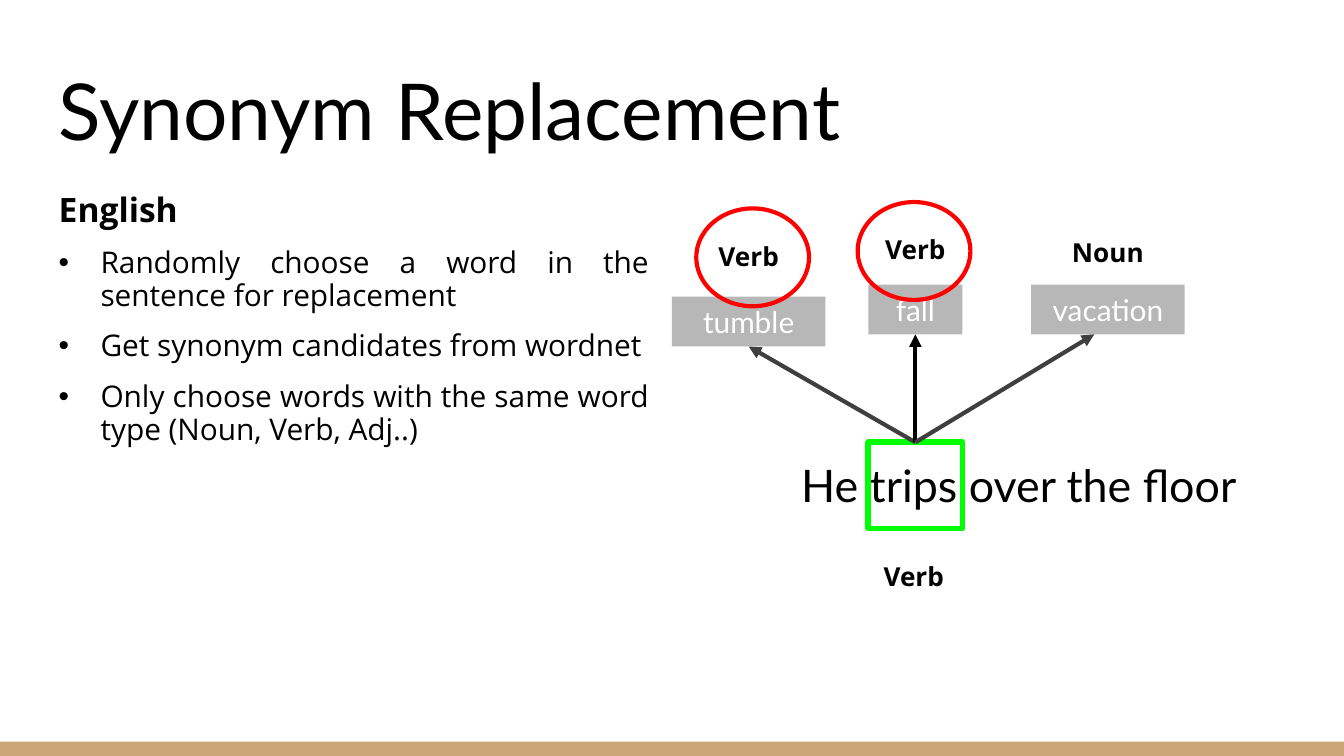
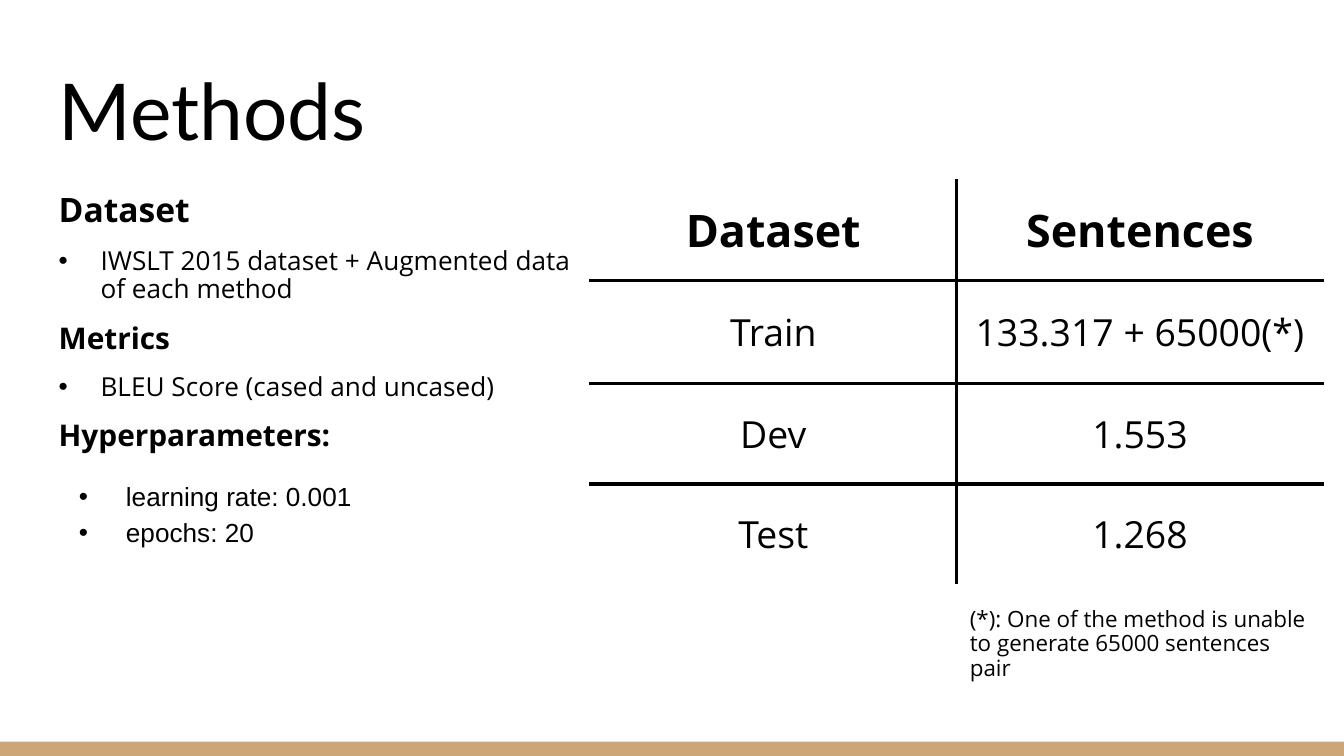
import pptx
import pptx.util
from pptx.dml.color import RGBColor
from pptx.enum.shapes import MSO_CONNECTOR, MSO_SHAPE
from pptx.enum.text import MSO_ANCHOR, MSO_AUTO_SIZE, PP_ALIGN
from pptx.oxml.ns import qn
from pptx.util import Cm, Pt
from lxml import etree

BLACK = RGBColor(0x00, 0x00, 0x00)
WHITE = RGBColor(0xFF, 0xFF, 0xFF)
TAN = RGBColor(0xCC, 0xA6, 0x77)
GREY = RGBColor(0xB7, 0xB7, 0xB7)
DARK = RGBColor(0x3F, 0x3F, 0x3F)
RED = RGBColor(0xFF, 0x00, 0x00)
GREEN = RGBColor(0x00, 0xFF, 0x00)
HEAD_FONT, BODY_FONT, PLAIN_FONT = "Lato", "Open Sans", "Arial"
SLIDE_W, SLIDE_H = 25.4, 14.29
MARGIN, BODY_TOP, BODY_H = 0.86, 3.4, 9.32
RULE_W = Pt(2.25)


def write(p, text, size=16, font=BODY_FONT, color=BLACK, bold=False,
          align=PP_ALIGN.LEFT, before=0, spacing=None):
    p.alignment = align
    p.space_before = Pt(before)
    if spacing:
        p.line_spacing = spacing
    r = p.add_run()
    r.text = text
    r.font.size, r.font.name, r.font.bold = Pt(size), font, bold
    r.font.color.rgb = color


def set_frame(tf, inset_y=0.25, anchor=MSO_ANCHOR.TOP):
    tf.word_wrap = True
    tf.auto_size = MSO_AUTO_SIZE.NONE
    tf.vertical_anchor = anchor
    tf.margin_left = tf.margin_right = Cm(0.25)
    tf.margin_top = tf.margin_bottom = Cm(inset_y)


def place(sp, left, top, width, height):
    sp.left, sp.top, sp.width, sp.height = Cm(left), Cm(top), Cm(width), Cm(height)


def set_bullet(p, margin, hanging):
    """Give the paragraph a bullet, or none when it has no margin."""
    pPr = p._p.get_or_add_pPr()
    pPr.set("marL", str(Cm(margin)))
    pPr.set("indent", str(Cm(-hanging)))
    if not margin:
        etree.SubElement(pPr, qn("a:buNone"))
        return
    clr = etree.SubElement(pPr, qn("a:buClr"))
    etree.SubElement(clr, qn("a:srgbClr"), val=str(BLACK))
    etree.SubElement(pPr, qn("a:buFont"), typeface=PLAIN_FONT)
    etree.SubElement(pPr, qn("a:buChar"), char="•")


def add_shape(s, kind, box, fill=None, line=None, line_w=RULE_W):
    sp = s.shapes.add_shape(kind, *map(Cm, box))
    sp.shadow.inherit = False
    if fill is None:
        sp.fill.background()
    else:
        sp.fill.solid()
        sp.fill.fore_color.rgb = fill
    if line is None:
        sp.line.fill.background()
    else:
        sp.line.color.rgb = line
        sp.line.width = line_w
    return sp


def add_text(s, text, box, inset_y=0.25, **fmt):
    tf = s.shapes.add_textbox(*map(Cm, box)).text_frame
    set_frame(tf, inset_y)
    write(tf.paragraphs[0], text, **fmt)


def add_arrow(s, source, target, color, end=None):
    """Join the top of source to the bottom of target, or to a free end point."""
    x, y = end or (0, 0)
    c = s.shapes.add_connector(MSO_CONNECTOR.STRAIGHT, 0, 0, Cm(x), Cm(y))
    c.begin_connect(source, 0)
    if end is None:
        c.end_connect(target, 2)
    c.line.color.rgb = color
    c.line.width = RULE_W
    etree.SubElement(c.line._get_or_add_ln(), qn("a:tailEnd"), type="triangle")
    etree.SubElement(c._element.spPr, qn("a:effectLst"))


def add_band(s, layout):
    """Put the bottom band on the layout, so that every slide shows it."""
    band = add_shape(s, MSO_SHAPE.RECTANGLE, (0, SLIDE_H - 0.27, SLIDE_W, 0.27), fill=TAN)
    layout.shapes.element.append(band.element)


def add_slide(prs, layout, title, items, body_w, align=PP_ALIGN.LEFT):
    """Add a slide with a title and a list of (text, bullet indents, format)."""
    s = prs.slides.add_slide(layout)
    head, body = s.shapes.title, s.placeholders[1]
    place(head, MARGIN, 0.89, SLIDE_W - 2 * MARGIN, 2.31)
    set_frame(head.text_frame, anchor=MSO_ANCHOR.BOTTOM)
    write(head.text_frame.paragraphs[0], title, size=42, font=HEAD_FONT)
    place(body, MARGIN, BODY_TOP, body_w, BODY_H)
    tf = body.text_frame
    set_frame(tf)
    for i, (text, indents, fmt) in enumerate(items):
        p = tf.add_paragraph() if i else tf.paragraphs[0]
        write(p, text, **{"align": align, "before": 10 if i else 0, "spacing": 0.9, **fmt})
        set_bullet(p, *indents)
    return s


def add_synonym_diagram(s, left, top):
    """Draw the sentence, its marked word and the candidate words above it."""
    label_w, label_h, tag_h = 3.4, 1.12, 0.94
    label_fmt = dict(size=14, bold=True, align=PP_ALIGN.CENTER)
    word_mid = 4.85

    def add_label(text, mid, y):
        add_text(s, text, (left + mid - label_w / 2, top + y, label_w, label_h), **label_fmt)

    add_text(s, "He trips over the floor", (left + 2.44, top + 4.72, 11.18, 1.27),
             inset_y=0.13, size=24, font=HEAD_FONT)
    marked = add_shape(s, MSO_SHAPE.ROUNDED_RECTANGLE, (left + word_mid - 0.89, top + 4.55, 1.78, 1.63),
                       line=GREEN, line_w=Pt(3))
    marked.adjustments[0] = 0
    add_label("Verb", word_mid - 0.03, 6.53)

    # word, type, centre, tag top, tag width, label top, circle centre, arrow colour, free end
    candidates = [
        ("tumble", "Verb", 1.7, 1.8, 2.9, 0.48, 1.78, DARK, None),
        ("fall", "Verb", word_mid, 1.57, 1.78, 0.36, 4.83, BLACK, None),
        ("vacation", "Noun", 8.49, 1.57, 2.9, 0.41, None, DARK, (left + 8.23, top + 2.51)),
    ]
    for word, kind, mid, tag_y, tag_w, label_y, circle_mid, color, end in candidates:
        tag = add_shape(s, MSO_SHAPE.RECTANGLE,
                        (left + mid - tag_w / 2, top + tag_y, tag_w, tag_h), fill=GREY)
        set_frame(tag.text_frame, 0.13)
        write(tag.text_frame.paragraphs[0], word, font=HEAD_FONT, color=WHITE,
              align=PP_ALIGN.CENTER)
        add_arrow(s, marked, tag, color, end)
        add_label(kind, mid, label_y)
        if circle_mid:
            add_shape(s, MSO_SHAPE.OVAL,
                      (left + circle_mid - 1.07, top + label_y - 0.35, 2.13, 1.85), line=RED)


def set_borders(cell, sides):
    tcPr = cell._tc.get_or_add_tcPr()
    for side in "LRTB":
        if side in sides:
            ln = etree.SubElement(tcPr, qn("a:ln" + side), w=str(RULE_W))
            fill = etree.SubElement(ln, qn("a:solidFill"))
            etree.SubElement(fill, qn("a:srgbClr"), val=str(BLACK))


def add_dataset_table(s, left, top):
    """Draw the table, ruled only between its cells, and its footnote."""
    rows = [("Dataset", "Sentences"), ("Train", "133.317 + 65000(*)"),
            ("Dev", "1.553"), ("Test", "1.268")]
    heights = [1.9, 1.95, 1.9, 1.9]
    col_w = 6.93
    tbl = s.shapes.add_table(len(rows), 2, Cm(left), Cm(top), Cm(2 * col_w), Cm(sum(heights))).table
    tbl.first_row = tbl.horz_banding = False
    for col in tbl.columns:
        col.width = Cm(col_w)
    for i, row in enumerate(rows):
        tbl.rows[i].height = Cm(heights[i])
        for j, text in enumerate(row):
            cell = tbl.cell(i, j)
            set_borders(cell, "RL"[j] + ("T" if i else "") + ("B" if i < len(rows) - 1 else ""))
            cell.fill.background()
            cell.vertical_anchor = MSO_ANCHOR.MIDDLE
            cell.margin_left = cell.margin_right = Cm(0.25)
            cell.margin_top = cell.margin_bottom = Cm(0.13)
            write(cell.text_frame.paragraphs[0], text, size=20 if i else 24, bold=i == 0,
                  align=PP_ALIGN.CENTER)
    add_text(s, "(*): One of the method is unable to generate 65000 sentences pair",
             (left + col_w, top + 7.85, col_w, 2.06), size=12, spacing=0.9)


def main():
    prs = pptx.Presentation()
    prs.slide_width, prs.slide_height = Cm(SLIDE_W), Cm(SLIDE_H)
    layout = prs.slide_layouts[1]
    flush, bullet, inner = (0, 0), (0.79, 0.79), (1.27, 0.89)
    first, heading = dict(size=18, bold=True), dict(bold=True)
    small = dict(size=14)
    setting = dict(size=14, font=PLAIN_FONT, spacing=1.15)

    s = add_slide(prs, layout, "Synonym Replacement", [
        ("English", flush, first),
        ("Randomly choose a word in the sentence for replacement", bullet, {}),
        ("Get synonym candidates from wordnet", bullet, {}),
        ("Only choose words with the same word type (Noun, Verb, Adj..)", bullet, {}),
    ], body_w=11.66, align=PP_ALIGN.JUSTIFY)
    add_band(s, layout)
    add_synonym_diagram(s, 12.45, 3.81)

    s = add_slide(prs, layout, "Methods", [
        ("Dataset", flush, first),
        ("IWSLT 2015 dataset + Augmented data of each method", bullet, small),
        ("Metrics", flush, heading),
        ("BLEU Score (cased and uncased)", bullet, small),
        ("Hyperparameters:", flush, heading),
        ("learning rate: 0.001", inner, {**setting, "before": 12}),
        ("epochs: 20", inner, {**setting, "before": 0}),
    ], body_w=10.29)
    add_dataset_table(s, 11.15, BODY_TOP)

    prs.save("out.pptx")


if __name__ == "__main__":
    main()
